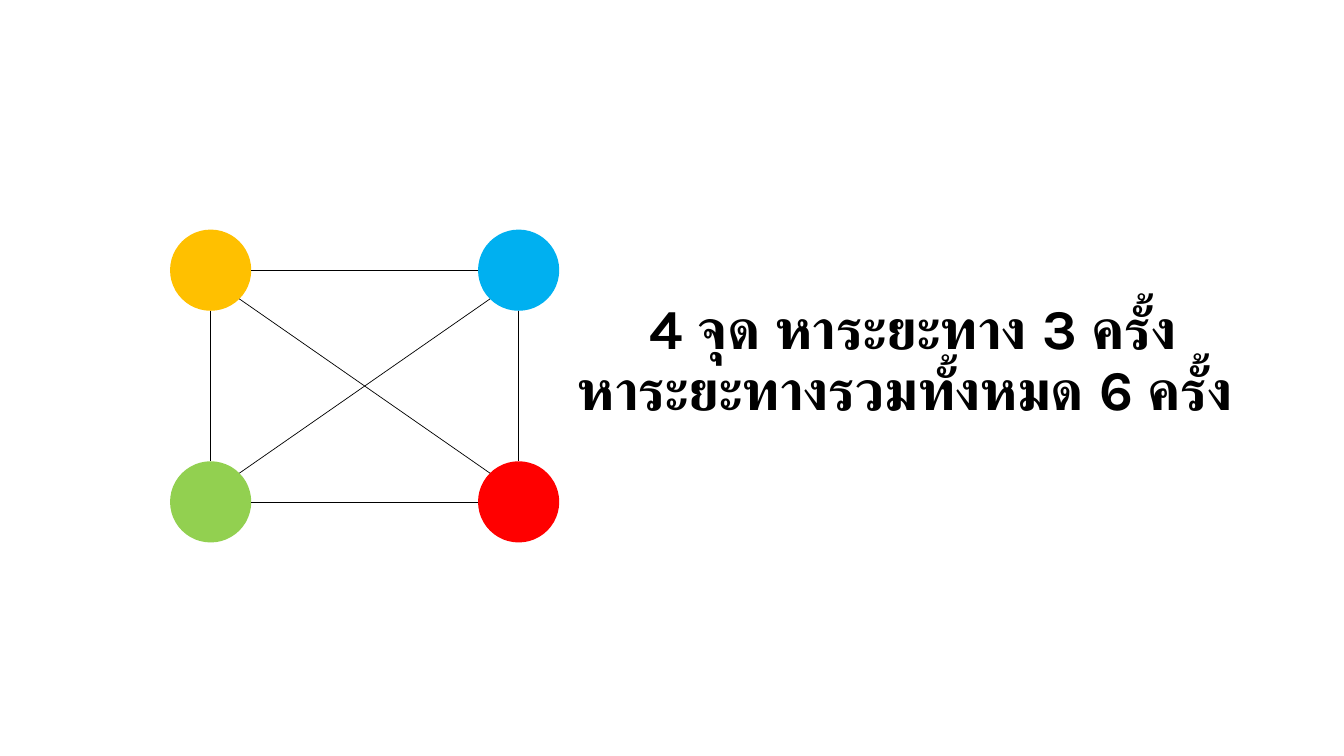
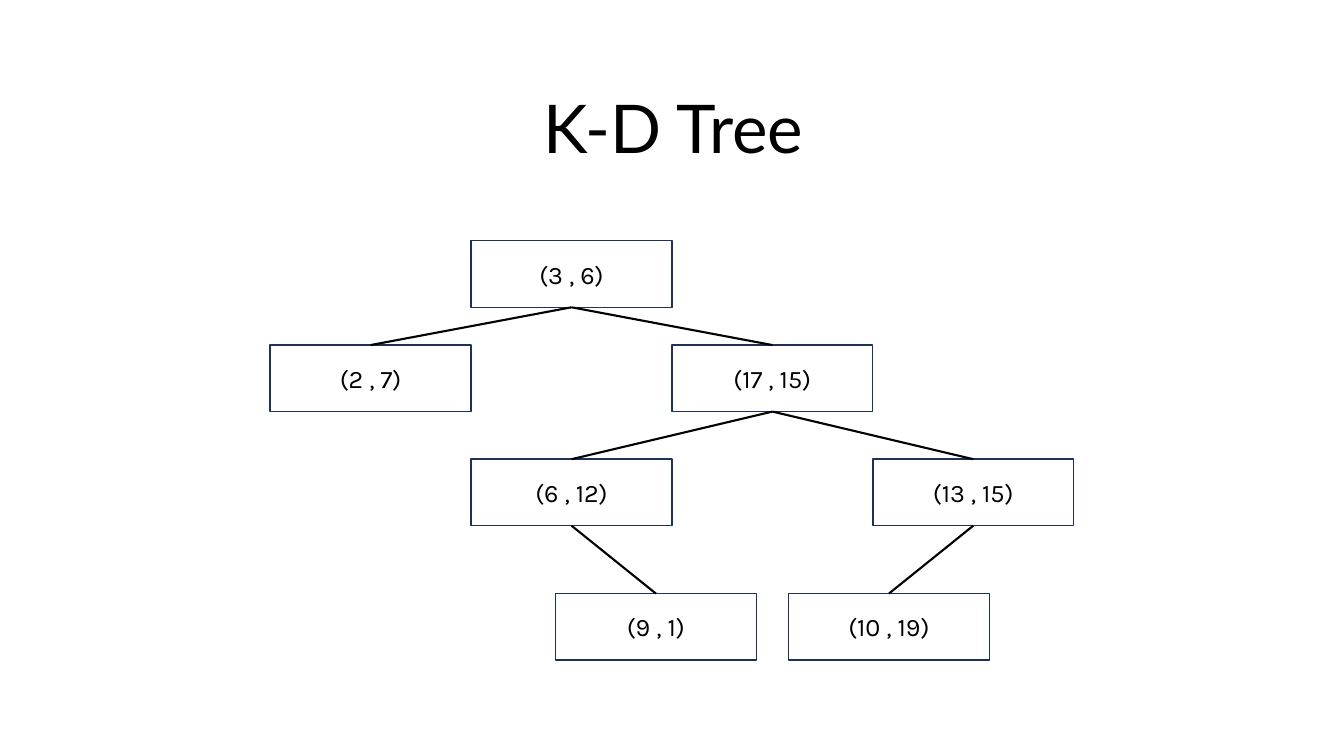
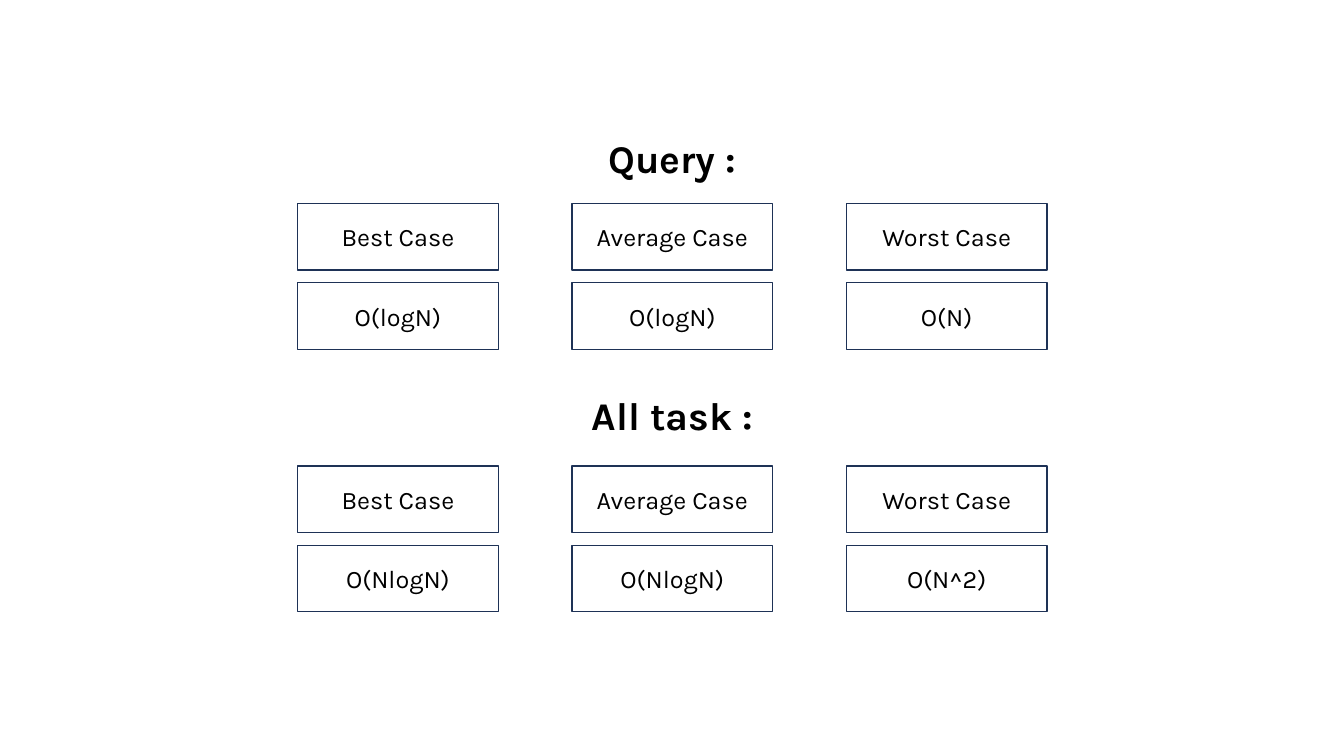
"""Builds three slides on point distances, a K-D tree and its running times."""
from itertools import combinations
from math import copysign, hypot

from lxml.etree import SubElement
from pptx import Presentation
from pptx.dml.color import RGBColor
from pptx.enum.shapes import MSO_CONNECTOR, MSO_SHAPE
from pptx.enum.text import MSO_ANCHOR, MSO_AUTO_SIZE, PP_ALIGN
from pptx.oxml.ns import qn
from pptx.util import Pt

BLACK, WHITE, NAVY = "000000", "FFFFFF", "1E3256"

HEADLINE = {"name": "Karla", "size": Pt(40), "bold": True}
TREE_TITLE = {"name": "Lato", "size": Pt(48), "bold": False}
SECTION = {"name": "Karla", "size": Pt(28), "bold": True}
BOX_TEXT = {"name": "Karla", "size": Pt(18), "bold": False}
FRAME = {
    "word_wrap": True,
    "auto_size": MSO_AUTO_SIZE.NONE,
    "vertical_anchor": MSO_ANCHOR.MIDDLE,
}

DISTANCE_LINES = ["4 จุด หาระยะทาง 3 ครั้ง", "หาระยะทางรวมทั้งหมด 6 ครั้ง "]
POINTS = [
    (150.5, 193, "FFC000"),
    (370.5, 193, "00B0F0"),
    (150.5, 358.5, "92D050"),
    (370.5, 358.5, "FF0000"),
]
RADIUS = 29

BOX_WIDTH, BOX_HEIGHT = 143.5, 47.5
TREE_LEFT = 193
TREE_TOPS = [172, 246.5, 328, 424]
TREE_NODES = {
    "(3 , 6)": (1, 0),
    "(2 , 7)": (0, 1),
    "(17 , 15)": (2, 1),
    "(6 , 12)": (1, 2),
    "(13 , 15)": (3, 2),
    "(9 , 1)": (1.42, 3),
    "(10 , 19)": (2.58, 3),
}
TREE_EDGES = [
    ("(3 , 6)", "(2 , 7)"),
    ("(3 , 6)", "(17 , 15)"),
    ("(17 , 15)", "(6 , 12)"),
    ("(17 , 15)", "(13 , 15)"),
    ("(6 , 12)", "(9 , 1)"),
    ("(13 , 15)", "(10 , 19)"),
]

CASES = ["Best Case", "Average Case", "Worst Case"]
TASKS = [
    ("Query :", 95, 145.5, ["O(logN)", "O(logN)", "O(N)"]),
    ("All task :", 278.5, 333, ["O(NlogN)", "O(NlogN)", "O(N^2)"]),
]
CASE_LEFT, CASE_STEP, ROW_STEP = 212.5, 196, 56.5


def color(code):
    return RGBColor.from_string(code)


def write(holder, lines, font, spacing=0.9):
    frame = holder.text_frame
    for key, value in FRAME.items():
        setattr(frame, key, value)
    frame.text = "\n".join(lines)
    for paragraph in frame.paragraphs:
        paragraph.alignment = PP_ALIGN.CENTER
        paragraph.line_spacing = spacing
        for run in paragraph.runs:
            for key, value in font.items():
                setattr(run.font, key, value)
            run.font.color.rgb = color(BLACK)


def place_title(slide, lines, font, left, top, width, height):
    title = slide.shapes.title
    title.left, title.top = Pt(left), Pt(top)
    title.width, title.height = Pt(width), Pt(height)
    write(title, lines, font)


def add_filled(slide, kind, left, top, width, height, fill):
    shape = slide.shapes.add_shape(kind, Pt(left), Pt(top), Pt(width), Pt(height))
    shape.shadow.inherit = False
    shape.fill.solid()
    shape.fill.fore_color.rgb = color(fill)
    shape.line.fill.background()
    return shape


def add_box(slide, label, left, top):
    box = add_filled(slide, MSO_SHAPE.RECTANGLE, left, top, BOX_WIDTH, BOX_HEIGHT, WHITE)
    box.line.color.rgb = color(NAVY)
    box.line.width = Pt(1)
    write(box, [label], BOX_TEXT, 1.0)
    return box


def add_line(slide, width, x1=0, y1=0, x2=0, y2=0):
    line = slide.shapes.add_connector(MSO_CONNECTOR.STRAIGHT, Pt(x1), Pt(y1), Pt(x2), Pt(y2))
    line.line.color.rgb = color(BLACK)
    line.line.width = Pt(width)
    SubElement(line._element.spPr, qn("a:effectLst"))
    return line


def sign(value):
    return copysign(1, value) if value else 0


def build_distances(slide):
    place_title(slide, DISTANCE_LINES, HEADLINE, 386.5, 238.5, 531.5, 40)
    for x, y, fill in POINTS:
        add_filled(slide, MSO_SHAPE.OVAL, x - RADIUS, y - RADIUS, 2 * RADIUS, 2 * RADIUS, fill)
    for (x1, y1, _), (x2, y2, _) in combinations(POINTS, 2):
        across, down = sign(x2 - x1), sign(y2 - y1)
        reach = RADIUS / hypot(across, down)
        dx, dy = across * reach, down * reach
        add_line(slide, 0.5, x1 + dx, y1 + dy, x2 - dx, y2 - dy)


def build_tree(slide):
    place_title(slide, ["K-D Tree"], TREE_TITLE, 70.5, 0, 821, 188)
    nodes = {
        label: add_box(slide, label, TREE_LEFT + column * BOX_WIDTH, TREE_TOPS[level])
        for label, (column, level) in TREE_NODES.items()
    }
    for parent, child in TREE_EDGES:
        edge = add_line(slide, 1.5)
        edge.begin_connect(nodes[parent], 2)
        edge.end_connect(nodes[child], 0)


def build_costs(slide):
    for index, (heading, heading_top, boxes_top, costs) in enumerate(TASKS):
        area = (117.5, heading_top, 725.5, 39.5)
        if index == 0:
            place_title(slide, [heading], SECTION, *area)
        else:
            write(slide.shapes.add_textbox(*map(Pt, area)), [heading], SECTION)
        for row, labels in enumerate([CASES, costs]):
            for column, label in enumerate(labels):
                left = CASE_LEFT + column * CASE_STEP
                add_box(slide, label, left, boxes_top + row * ROW_STEP)


def main():
    deck = Presentation()
    deck.slide_width, deck.slide_height = Pt(960), Pt(540)
    title_only = deck.slide_layouts[5]
    for build in (build_distances, build_tree, build_costs):
        build(deck.slides.add_slide(title_only))
    deck.save("out.pptx")


if __name__ == "__main__":
    main()
